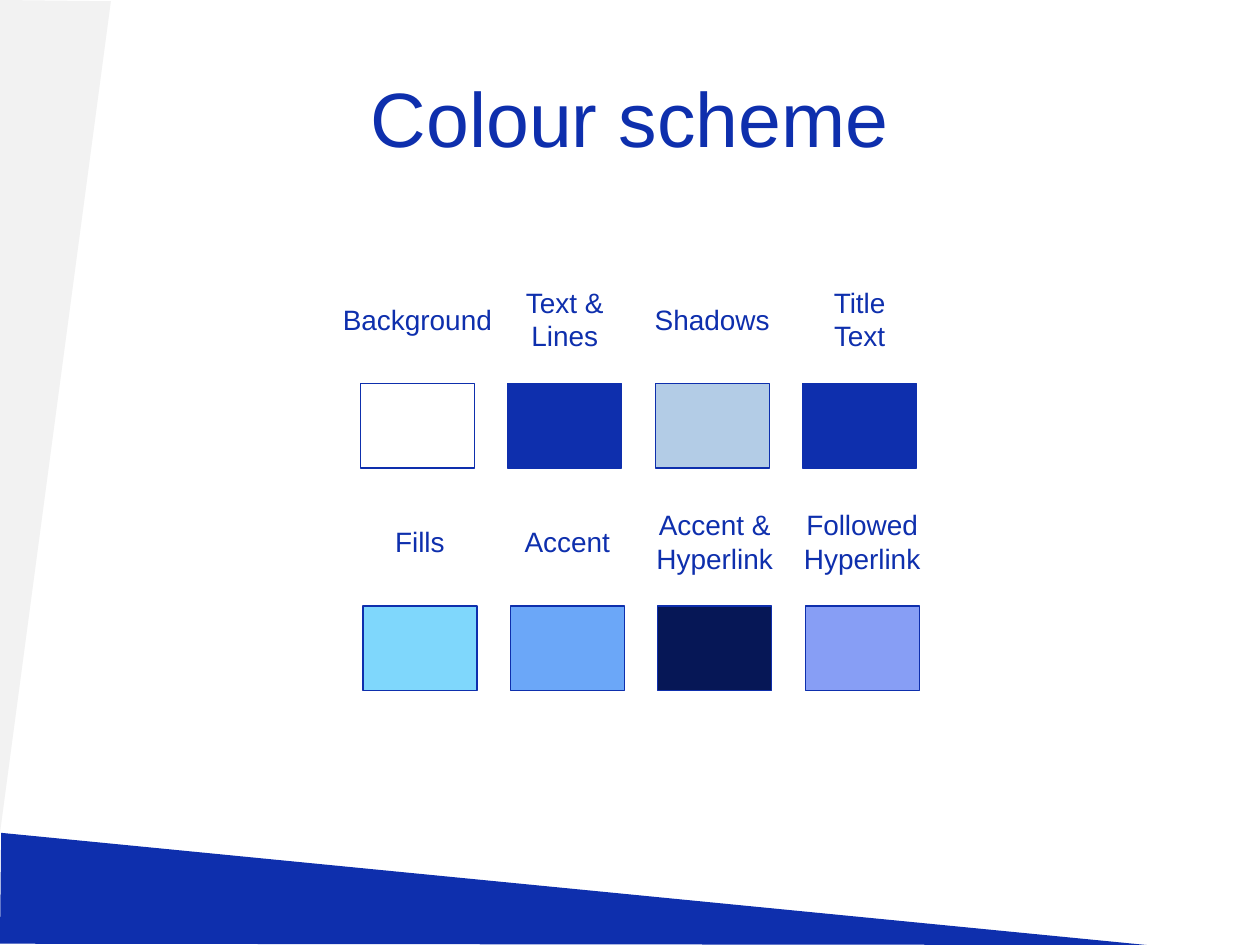
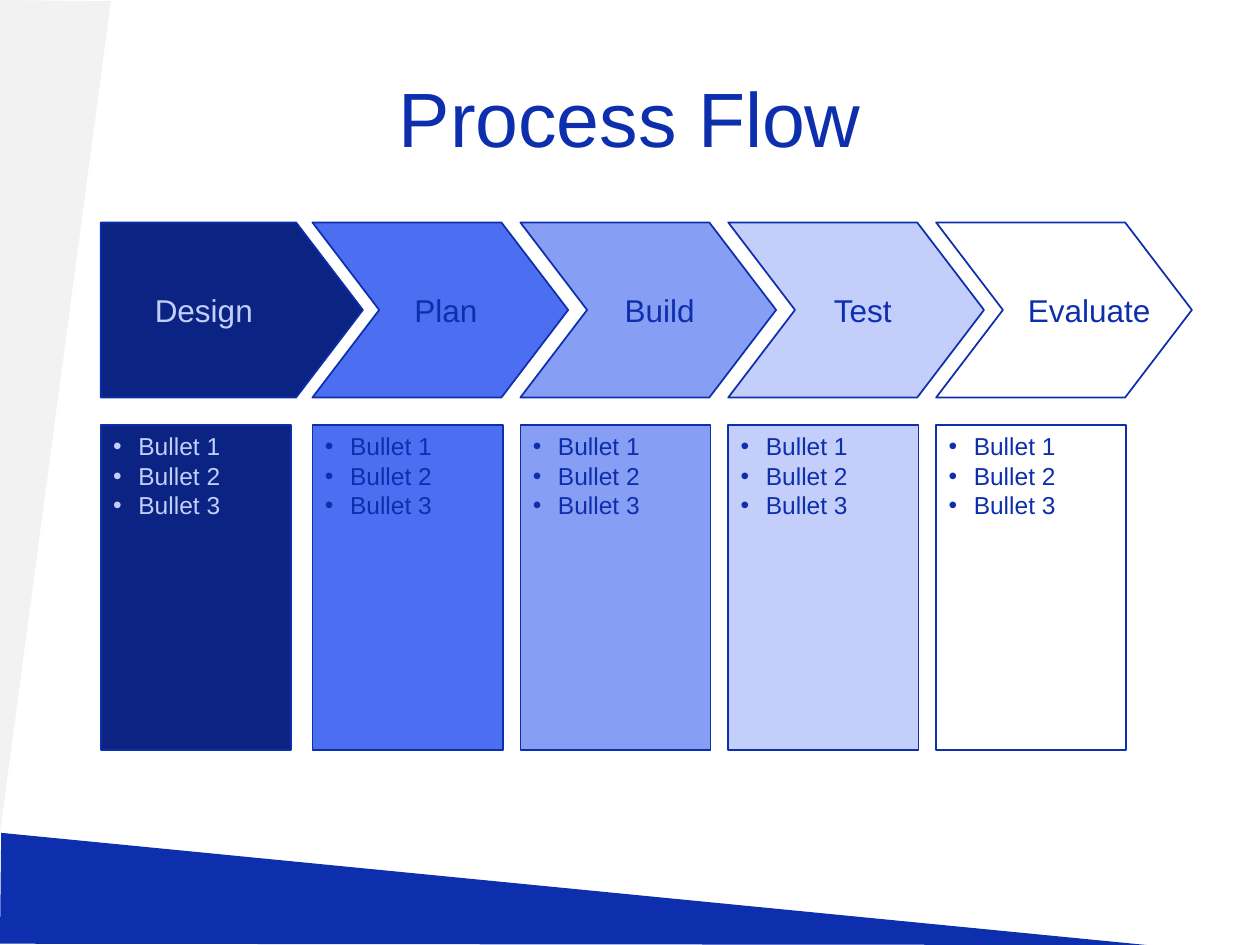
from dataclasses import dataclass

from lxml import etree
from pptx import Presentation
from pptx.dml.color import RGBColor
from pptx.enum.shapes import MSO_SHAPE
from pptx.enum.text import MSO_ANCHOR, MSO_AUTO_SIZE, PP_ALIGN
from pptx.oxml.ns import qn
from pptx.util import Inches, Pt

RECTANGLE = MSO_SHAPE.RECTANGLE
LEFT, CENTER = PP_ALIGN.LEFT, PP_ALIGN.CENTER
TOP, MIDDLE = MSO_ANCHOR.TOP, MSO_ANCHOR.MIDDLE
GROW = MSO_AUTO_SIZE.SHAPE_TO_FIT_TEXT

FONT = "Arial"
WHITE = RGBColor(0xFF, 0xFF, 0xFF)
GREY = RGBColor(0xF2, 0xF2, 0xF2)
BLUE = RGBColor(0x0E, 0x2F, 0xAD)
NAVY = RGBColor(0x0B, 0x23, 0x82)
MIDNIGHT = RGBColor(0x06, 0x17, 0x56)
ROYAL = RGBColor(0x4C, 0x6E, 0xF0)
PERIWINKLE = RGBColor(0x87, 0x9E, 0xF5)
LAVENDER = RGBColor(0xC3, 0xCF, 0xFA)
STEEL = RGBColor(0xB3, 0xCC, 0xE6)
SKY = RGBColor(0x7F, 0xD7, 0xFC)
AZURE = RGBColor(0x6B, 0xA7, 0xF8)

# Grid of square cells: 100 columns by 75 rows
SLIDE_WIDTH, SLIDE_HEIGHT = Inches(10), Inches(7.5)
COLUMNS, ROWS = 100, 75
CELL = SLIDE_WIDTH / COLUMNS


@dataclass
class Area:
    left: float
    top: float
    width: float
    height: float

    def lengths(self) -> list[int]:
        return [cells(n) for n in (self.left, self.top, self.width, self.height)]


@dataclass
class Swatch:
    label: str
    label_width: float
    fill: RGBColor


@dataclass
class Step:
    name: str
    name_offset: float
    name_width: float
    left: float
    fill: RGBColor
    ink: RGBColor = BLUE


def cells(count: float) -> int:
    return round(count * CELL)


# Text
def write(frame, text: str, *, size: float, color: RGBColor = BLUE,
          align=LEFT, anchor=TOP, wrap: bool = True, bullet: bool = False) -> None:
    frame.word_wrap = wrap
    frame.vertical_anchor = anchor
    for number, line in enumerate(text.split("\n")):
        para = frame.paragraphs[0] if number == 0 else frame.add_paragraph()
        para.alignment = align
        span = para.add_run()
        span.text = line
        span.font.name, span.font.size = FONT, Pt(size)
        span.font.color.rgb = color
        if bullet:
            add_bullet(para)


def add_bullet(para) -> None:
    properties = para._p.get_or_add_pPr()
    properties.set("marL", str(cells(2)))
    properties.set("indent", str(-cells(2)))
    etree.SubElement(properties, qn("a:buFont"), typeface=FONT)
    etree.SubElement(properties, qn("a:buChar"), char="•")


def add_label(page, text: str, area: Area, size: float, **style) -> None:
    box = page.shapes.add_textbox(*area.lengths())
    write(box.text_frame, text, size=size, wrap=False, **style)
    box.text_frame.auto_size = GROW


# Shapes
def paint(shape, fill: RGBColor, line_width: float = 0) -> None:
    shape.shadow.inherit = False
    shape.fill.solid()
    shape.fill.fore_color.rgb = fill
    if line_width:
        shape.line.color.rgb = BLUE
        shape.line.width = Pt(line_width)
    else:
        shape.line.fill.background()


def add_box(page, area: Area, fill: RGBColor, line_width: float):
    box = page.shapes.add_shape(RECTANGLE, *area.lengths())
    paint(box, fill, line_width)
    return box


def add_outline(page, points: list[tuple[float, float]], fill: RGBColor,
                line_width: float = 0):
    corners = [(cells(x), cells(y)) for x, y in points]
    builder = page.shapes.build_freeform(*corners[0])
    builder.add_line_segments(corners[1:], close=True)
    outline = builder.convert_to_shape()
    paint(outline, fill, line_width)
    return outline


# Shared bands and title
SIDE_BAND = [(0, 0), (8.8, 0.1), (0, 66.1)]
BOTTOM_BAND = [(0.1, 66.1), (91, ROWS), (0, 74.9)]
TITLE = Area(5, 3, 90, 12.5)


def add_bands(layout, page) -> None:
    """Draw the bands on a page, then move them behind its layout."""
    for points, fill in ((SIDE_BAND, GREY), (BOTTOM_BAND, BLUE)):
        band = add_outline(page, points, fill)
        layout.shapes.element.insert(2, band.element)


def add_page(deck, layout, heading: str):
    page = deck.slides.add_slide(layout)
    title = page.shapes.title
    title.left, title.top, title.width, title.height = TITLE.lengths()
    write(title.text_frame, heading, size=44, align=CENTER, anchor=MIDDLE)
    return page


# Colour scheme
SWATCH_WIDTH, SWATCH_HEIGHT, SWATCH_PITCH = 9.05, 6.7, 11.7
LABEL_RISE = 5.1  # from label centre to swatch top
SWATCH_ROWS = [
    (28.6, 30.45, [
        Swatch("Background", 14.1, WHITE),
        Swatch("Text &\nLines", 8.6, BLUE),
        Swatch("Shadows", 11.3, STEEL),
        Swatch("Title\nText", 6.5, BLUE),
    ]),
    (28.8, 48.1, [
        Swatch("Fills", 6.2, SKY),
        Swatch("Accent", 9, AZURE),
        Swatch("Accent &\nHyperlink", 11.6, MIDNIGHT),
        Swatch("Followed\nHyperlink", 11.6, PERIWINKLE),
    ]),
]


def add_swatch(page, swatch: Swatch, left: float, top: float) -> None:
    add_box(page, Area(left, top, SWATCH_WIDTH, SWATCH_HEIGHT), swatch.fill, 0.75)
    height = 6.4 if "\n" in swatch.label else 3.7
    area = Area(left + (SWATCH_WIDTH - swatch.label_width) / 2,
                top - LABEL_RISE - height / 2, swatch.label_width, height)
    add_label(page, swatch.label, area, 16, align=CENTER)


# Process flow
ARROW_TOP, ARROW_HEIGHT, ARROW_TIP = 17.65, 13.9, 5.3
PANEL_TOP, PANEL_WIDTH, PANEL_HEIGHT = 33.75, 15.1, 25.75
STEP_START, STEP_PITCH = 24.8, 16.5
BULLETS = "\n".join(f"Bullet {number}" for number in range(1, 4))
STEPS = [
    Step("Design", 3.3, 9.8, 8, NAVY, LAVENDER),
    Step("Plan", 7.1, 7, STEP_START, ROYAL),
    Step("Build", 7.3, 7.6, STEP_START + STEP_PITCH, PERIWINKLE),
    Step("Test", 7.4, 6.9, STEP_START + 2 * STEP_PITCH, LAVENDER),
    Step("Evaluate", 6.3, 11.7, STEP_START + 3 * STEP_PITCH, WHITE),
]


def add_step(page, step: Step, first: bool) -> None:
    panel = add_box(page, Area(step.left, PANEL_TOP, PANEL_WIDTH, PANEL_HEIGHT),
                    step.fill, 1)
    write(panel.text_frame, BULLETS, size=14, color=step.ink, bullet=True)

    # The first arrow has a flat back, the others a notch
    shoulder = step.left + (15.5 if first else 15)
    middle, bottom = ARROW_TOP + ARROW_HEIGHT / 2, ARROW_TOP + ARROW_HEIGHT
    points = [(step.left, ARROW_TOP), (shoulder, ARROW_TOP),
              (shoulder + ARROW_TIP, middle), (shoulder, bottom),
              (step.left, bottom)]
    if not first:
        points.append((step.left + ARROW_TIP, middle))
    add_outline(page, points, step.fill, 1)
    area = Area(step.left + step.name_offset, 22.6, step.name_width, 4)
    add_label(page, step.name, area, 18, color=step.ink)


def main() -> None:
    deck = Presentation()
    deck.slide_width, deck.slide_height = SLIDE_WIDTH, SLIDE_HEIGHT
    layout = deck.slide_layouts.get_by_name("Title Only")

    scheme_page = add_page(deck, layout, "Colour scheme")
    add_bands(layout, scheme_page)
    for row_left, top, swatches in SWATCH_ROWS:
        for column, swatch in enumerate(swatches):
            add_swatch(scheme_page, swatch, row_left + column * SWATCH_PITCH, top)

    flow_page = add_page(deck, layout, "Process Flow")
    for number, step in enumerate(STEPS):
        add_step(flow_page, step, first=number == 0)

    deck.save("out.pptx")


main()
